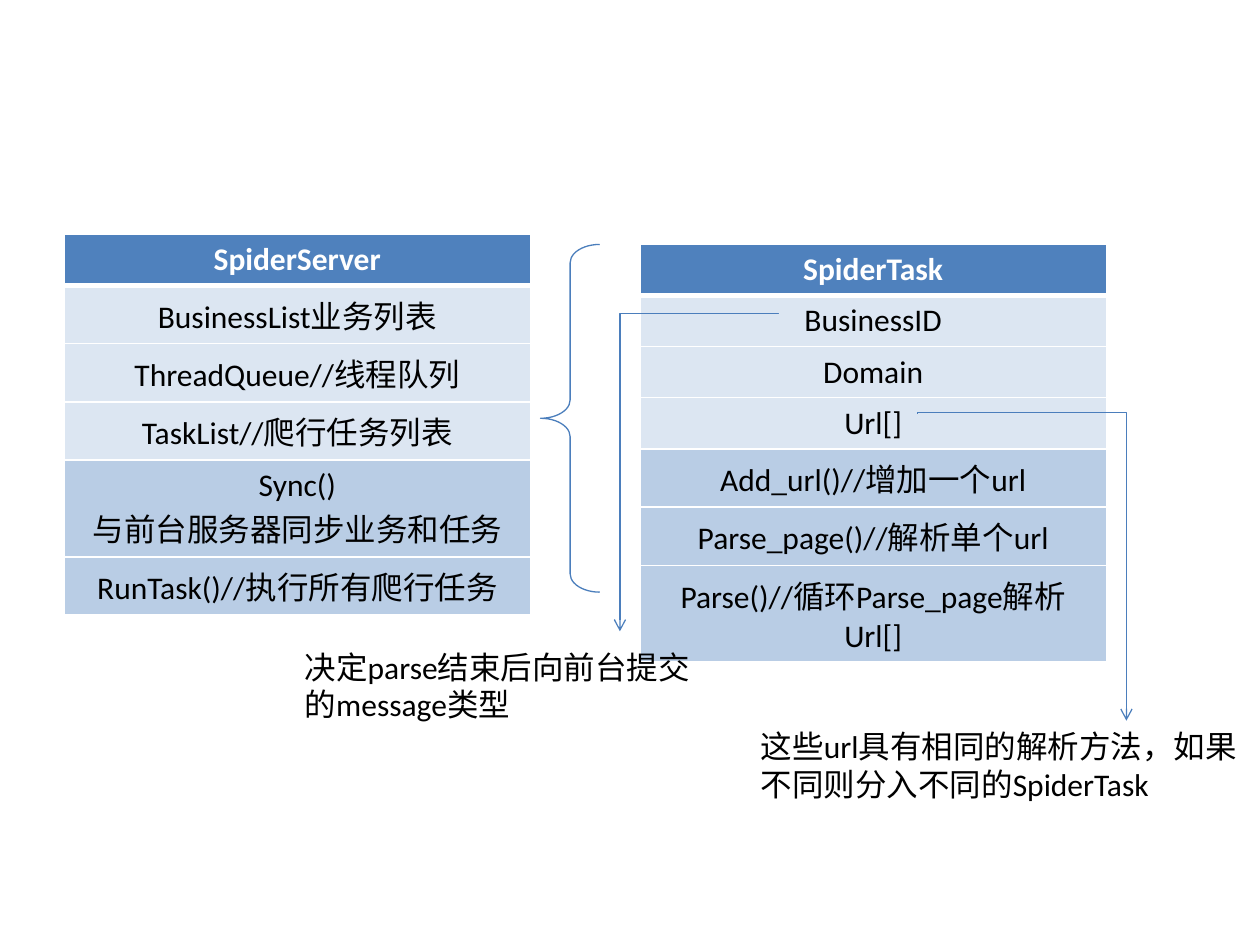
from dataclasses import dataclass
from lxml.etree import SubElement
from pptx import Presentation
from pptx.dml.color import RGBColor as Rgb
from pptx.enum.shapes import MSO_CONNECTOR as Conn, MSO_SHAPE as Kind
from pptx.enum.text import MSO_ANCHOR as Anchor, MSO_AUTO_SIZE as Fit, PP_ALIGN as Align
from pptx.oxml.ns import qn
from pptx.util import Inches, Pt


@dataclass(frozen=True)
class Theme:
    font: str = "Calibri"
    size: int = 18
    head: str = "4F81BD"
    field: str = "DCE6F2"
    method: str = "B9CDE5"
    line: str = "4B7EBC"
    white: str = "FFFFFF"
    black: str = "000000"
    width: float = 0.75


THEME = Theme()


def style(para, color=THEME.black, bold=False):
    look = {"name": THEME.font, "size": Pt(THEME.size), "bold": bold}
    for run in para.runs:
        for key, value in look.items():
            setattr(run.font, key, value)
        run.font.color.rgb = Rgb.from_string(color)


def stroke(line):
    line.color.rgb = Rgb.from_string(THEME.line)
    line.width = Pt(THEME.width)


def border(cell, top, bottom):
    props = cell._tc.get_or_add_tcPr()
    for side, width in (("L", 1), ("R", 1), ("T", top), ("B", bottom)):
        edge = SubElement(props, qn(f"a:ln{side}"), w=str(Pt(width)))
        fill = SubElement(edge, qn("a:solidFill"))
        SubElement(fill, qn("a:srgbClr"), val=THEME.white)


def add_class(slide, left, top, name, fields, methods, tall):
    rows = [(name, THEME.head)]
    rows += [(text, THEME.field) for text in fields]
    rows += [(text, THEME.method) for text in methods]
    heights = [0.45 if i == tall else 0.38 for i in range(len(rows))]
    frame = slide.shapes.add_table(len(rows), 1, Inches(left), Inches(top),
                                   Inches(3.7), Inches(sum(heights)))
    table = frame.table
    for i, (text, color) in enumerate(rows):
        table.rows[i].height = Inches(heights[i])
        cell = table.cell(i, 0)
        border(cell, 3 if i == 1 else 1, 3 if i == 0 else 1)
        cell.fill.solid()
        cell.fill.fore_color.rgb = Rgb.from_string(color)
        cell.vertical_anchor = Anchor.MIDDLE
        cell.text = text
        for para in cell.text_frame.paragraphs:
            para.alignment = Align.CENTER
            style(para, THEME.black if i else THEME.white, i == 0)


def add_note(slide, left, top, width, text):
    box = slide.shapes.add_textbox(Inches(left), Inches(top), Inches(width), Inches(0.71))
    frame = box.text_frame
    frame.word_wrap = True
    frame.auto_size = Fit.SHAPE_TO_FIT_TEXT
    frame.text = text
    style(frame.paragraphs[0])


def add_elbow(slide, x1, y1, x2, y2):
    midx, midy = (x1 + x2) / 2, (y1 + y2) / 2
    halfw, halfh = (y2 - y1) / 2, abs(x2 - x1) / 2
    turn = 1 if x2 < x1 else -1
    link = slide.shapes.add_connector(
        Conn.ELBOW, Inches(midx - turn * halfw), Inches(midy - halfh),
        Inches(midx + turn * halfw), Inches(midy + halfh))
    link.rotation = 90 if turn > 0 else 270
    stroke(link.line)
    props = link._element.spPr
    guides = props.find(qn("a:prstGeom")).get_or_add_avLst()
    SubElement(guides, qn("a:gd"), name="adj1", fmla="val -200")
    SubElement(props.find(qn("a:ln")), qn("a:tailEnd"), type="arrow")
    SubElement(props, qn("a:effectLst"))


def add_brace(slide, left, top, width, height):
    brace = slide.shapes.add_shape(Kind.LEFT_BRACE, Inches(left), Inches(top),
                                   Inches(width), Inches(height))
    brace.adjustments[0] = 0.31
    brace.adjustments[1] = 0.5
    brace.shadow.inherit = False
    brace.fill.background()
    stroke(brace.line)


def main():
    deck = Presentation()
    deck.slide_width, deck.slide_height = Inches(10), Inches(7.5)
    slide = deck.slides.add_slide(deck.slide_layouts[6])
    add_class(slide, 0.51, 1.86, "SpiderServer",
              ["BusinessList业务列表", "ThreadQueue//线程队列", "TaskList//爬行任务列表"],
              ["Sync()\n与前台服务器同步业务和任务", "RunTask()//执行所有爬行任务"], 4)
    add_class(slide, 5.08, 1.94, "SpiderTask", ["BusinessID", "Domain", "Url[]"],
              ["Add_url()//增加一个url", "Parse_page()//解析单个url",
               "Parse()//循环Parse_page解析Url[]"], 4)
    add_elbow(slide, 7.28, 3.28, 8.94, 5.72)
    add_note(slide, 5.94, 5.72, 4.06, "这些url具有相同的解析方法，如果不同则分入不同的SpiderTask")
    add_elbow(slide, 6.18, 2.49, 4.92, 5.01)
    add_note(slide, 2.32, 5.09, 3.35, "决定parse结束后向前台提交的message类型")
    add_brace(slide, 4.29, 1.94, 0.47, 2.76)
    deck.save("out.pptx")


if __name__ == "__main__":
    main()
